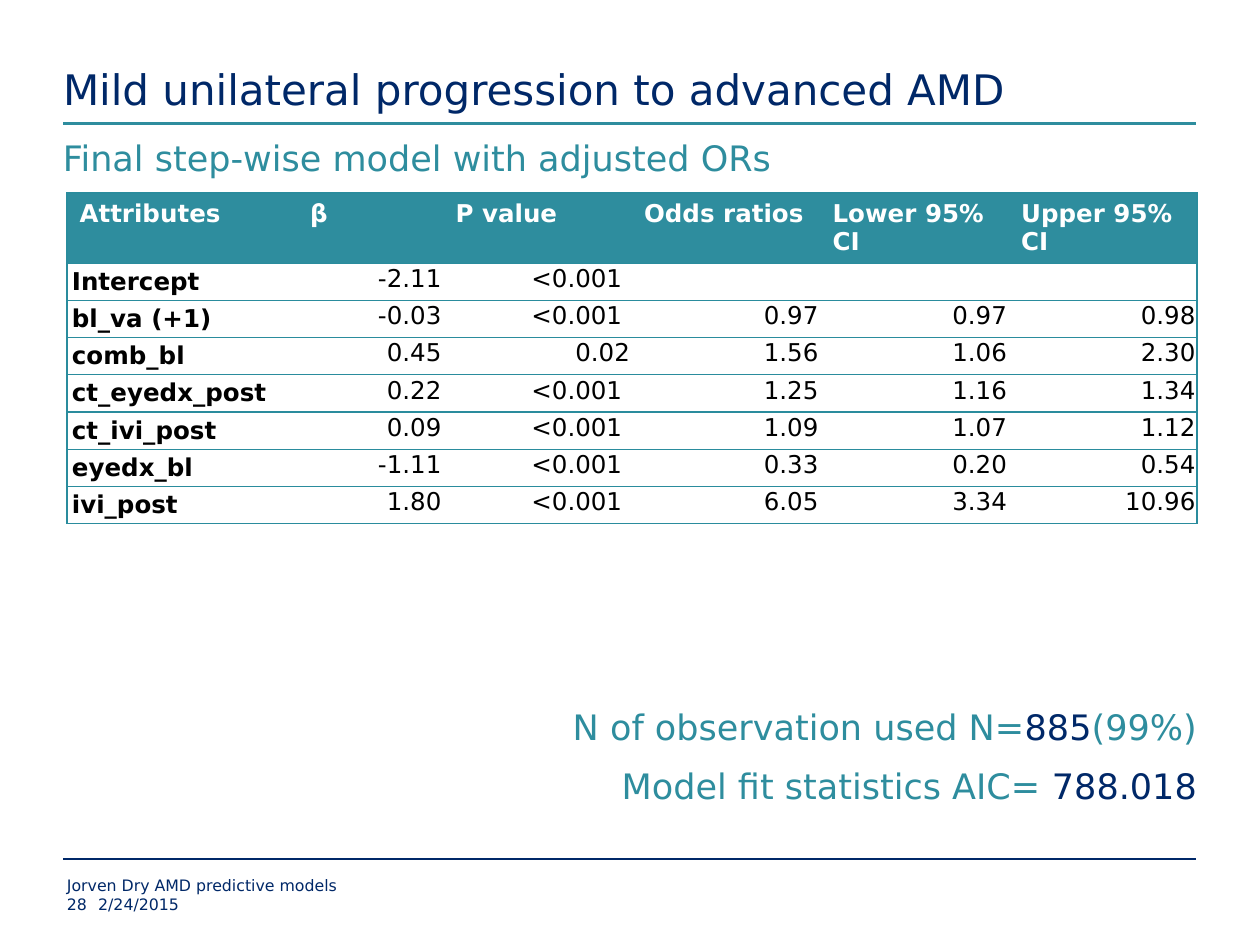
from lxml.etree import SubElement
from pptx import Presentation
from pptx.dml.color import RGBColor
from pptx.enum.shapes import MSO_CONNECTOR
from pptx.enum.text import MSO_ANCHOR, MSO_AUTO_SIZE, PP_ALIGN
from pptx.oxml.ns import qn
from pptx.util import Cm, Pt

NAVY = RGBColor(0x00, 0x28, 0x68)
TEAL = RGBColor(0x2E, 0x8D, 0x9E)
EDGE = RGBColor(0x2A, 0x8C, 0x9D)
WHITE = RGBColor(0xFF, 0xFF, 0xFF)
BLACK = RGBColor(0x00, 0x00, 0x00)

HEAD = ["Attributes", "β", "P value", "Odds ratios", "Lower 95% CI", "Upper 95% CI"]
ROWS = [
    ["Intercept", "-2.11", "<0.001 ", "", "", ""],
    ["bl_va (+1)", "-0.03", "<0.001 ", "0.97", "0.97", "0.98"],
    ["comb_bl", "0.45", "0.02", "1.56", "1.06", "2.30"],
    ["ct_eyedx_post", "0.22", "<0.001 ", "1.25", "1.16", "1.34"],
    ["ct_ivi_post", "0.09", "<0.001 ", "1.09", "1.07", "1.12"],
    ["eyedx_bl", "-1.11", "<0.001 ", "0.33", "0.20", "0.54"],
    ["ivi_post", "1.80", "<0.001 ", "6.05", "3.34", "10.96"],
]
WIDTHS = [4.65, 2.93] + [3.8] * 4


def apply(item, form):
    for name, value in form.items():
        setattr(item, name, value)


class Deck:
    font = "DejaVu Sans"

    def __init__(self):
        self.prs = Presentation()
        apply(self.prs, {"slide_width": Cm(25.4), "slide_height": Cm(19.05)})
        self.slide = self.prs.slides.add_slide(self.prs.slide_layouts[5])

    def run(self, para, text, size, color, bold=False):
        run = para.add_run()
        run.text = text
        apply(run.font, {"name": self.font, "size": Pt(size), "bold": bold})
        run.font.color.rgb = color

    def frame(self, shape, anchor):
        apply(shape.text_frame, {
            "margin_left": 0, "margin_right": 0, "margin_top": 0, "margin_bottom": 0,
            "word_wrap": True, "auto_size": MSO_AUTO_SIZE.NONE,
            "vertical_anchor": anchor})
        return shape.text_frame

    def title(self, text, left, top, width, height):
        shape = self.slide.shapes.title
        apply(shape, {"left": Cm(left), "top": Cm(top),
                      "width": Cm(width), "height": Cm(height)})
        para = self.frame(shape, MSO_ANCHOR.BOTTOM).paragraphs[0]
        para.alignment = PP_ALIGN.LEFT
        self.run(para, text, 24, NAVY)

    def text(self, lines, left, top, width, height, size, align=PP_ALIGN.LEFT):
        """Each line is a list of (text, color) pairs."""
        box = self.slide.shapes.add_textbox(Cm(left), Cm(top), Cm(width), Cm(height))
        frame = self.frame(box, MSO_ANCHOR.TOP)
        for i, parts in enumerate(lines):
            para = frame.add_paragraph() if i else frame.paragraphs[0]
            para.alignment = align
            if i:
                para.space_before = Pt(size / 2)
            for text, color in parts:
                self.run(para, text, size, color)

    def rule(self, y, color):
        line = self.slide.shapes.add_connector(
            MSO_CONNECTOR.STRAIGHT, Cm(1.27), Cm(y), Cm(24.1), Cm(y))
        line.line.color.rgb = color
        line.line.width = Pt(1.5)
        SubElement(line._element.spPr, qn("a:effectLst"))

    def edges(self, cell, sides):
        props = cell._tc.get_or_add_tcPr()
        for side in "LRTB":
            line = SubElement(props, qn("a:ln" + side), w=str(Pt(0.75)))
            if side in sides:
                fill = SubElement(line, qn("a:solidFill"))
                SubElement(fill, qn("a:srgbClr"), val=str(EDGE))
            else:
                SubElement(line, qn("a:noFill"))

    def cell(self, cell, text, row, col):
        head, name = row == 0, col == 0
        last = col == len(HEAD) - 1
        self.edges(cell, "TB" + "L" * name + "R" * last)
        para = cell.text_frame.paragraphs[0]
        if head:
            cell.fill.solid()
            cell.fill.fore_color.rgb = TEAL
        else:
            cell.fill.background()
            side = Cm(0.1 if name else 0.03)
            apply(cell, {"margin_left": side, "margin_right": side,
                         "margin_top": Cm(0 if name else 0.03), "margin_bottom": 0})
            apply(para, {"line_spacing": 1.15} if name
                  else {"alignment": PP_ALIGN.RIGHT})
        if text:
            self.run(para, text, 14, WHITE if head else BLACK, head or name)
        else:
            SubElement(para._p, qn("a:endParaRPr"), sz="1400")

    def table(self, rows, left, top, widths):
        heights = [1.4] + [0.75] * (len(rows) - 1)
        table = self.slide.shapes.add_table(
            len(rows), len(widths), Cm(left), Cm(top),
            Cm(sum(widths)), Cm(sum(heights))).table
        table.horz_banding = False
        for column, width in zip(table.columns, widths):
            column.width = Cm(width)
        for r, (values, height) in enumerate(zip(rows, heights)):
            table.rows[r].height = Cm(height)
            for c, value in enumerate(values):
                self.cell(table.cell(r, c), value, r, c)


def main():
    deck = Deck()
    # Rules and headings
    deck.rule(2.49, TEAL)
    deck.rule(17.32, NAVY)
    deck.title("Mild unilateral progression to advanced AMD", 1.27, 0, 22.86, 2.29)
    deck.text([[("Final step-wise model with adjusted ORs", TEAL)]],
              1.27, 2.76, 22.86, 1.1, 20)
    # Model table
    deck.table([HEAD] + ROWS, 1.35, 3.89, WIDTHS)
    # Fit summary
    deck.text([[("N of observation used N=", TEAL), ("885", NAVY), ("(99%)", TEAL)],
               [("Model fit statistics AIC=", TEAL), (" 788.018", NAVY)]],
              1.27, 14.22, 22.86, 2.49, 20, PP_ALIGN.RIGHT)
    # Footer
    for text, left, top, width in [
            ("Jorven Dry AMD predictive models", 1.35, 17.65, 19.05),
            ("28", 1.35, 18.03, 0.64),
            ("2/24/2015", 1.98, 18.03, 18.42)]:
        deck.text([[(text, NAVY)]], left, top, width, 0.38, 9)
    deck.prs.save("out.pptx")


if __name__ == "__main__":
    main()
